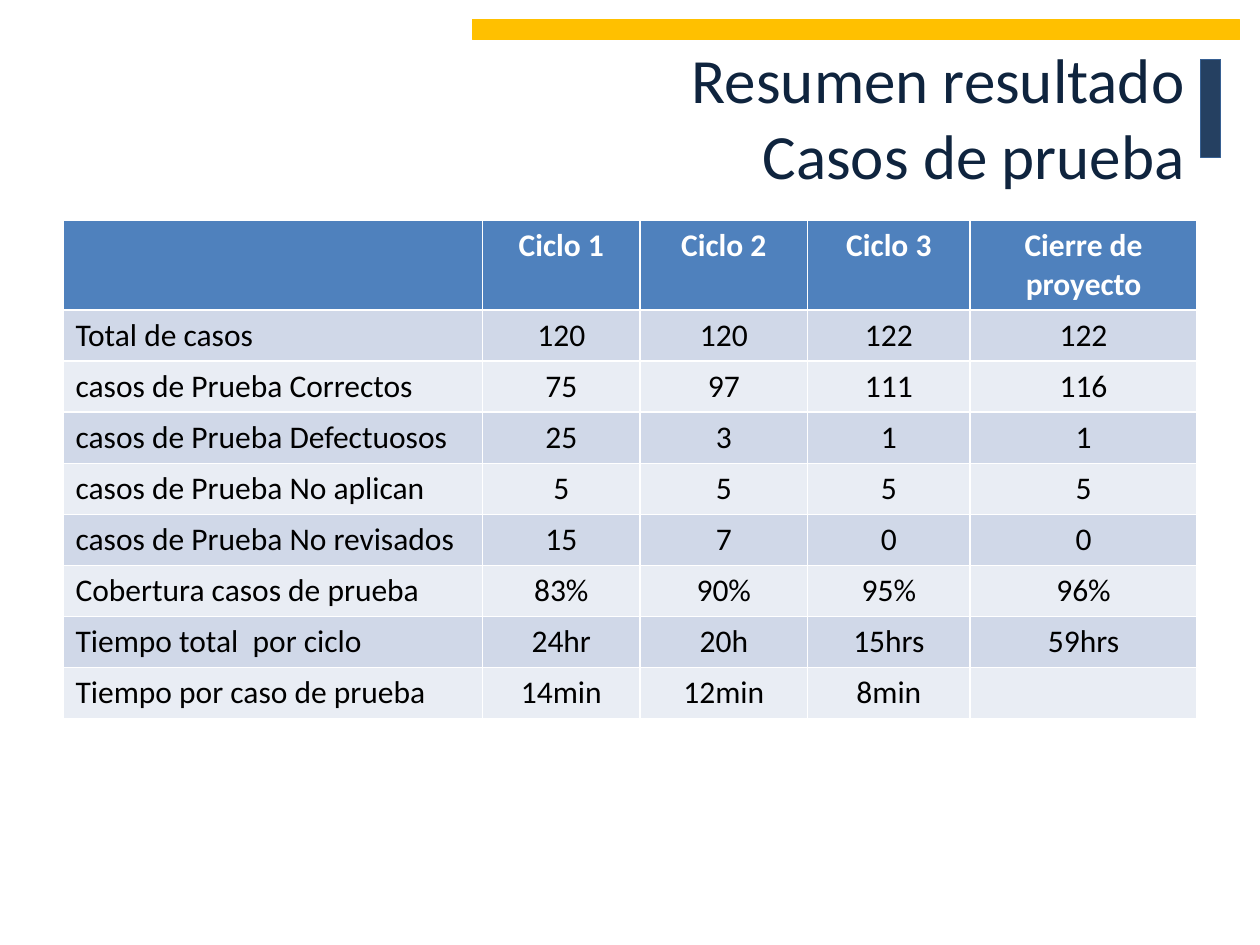
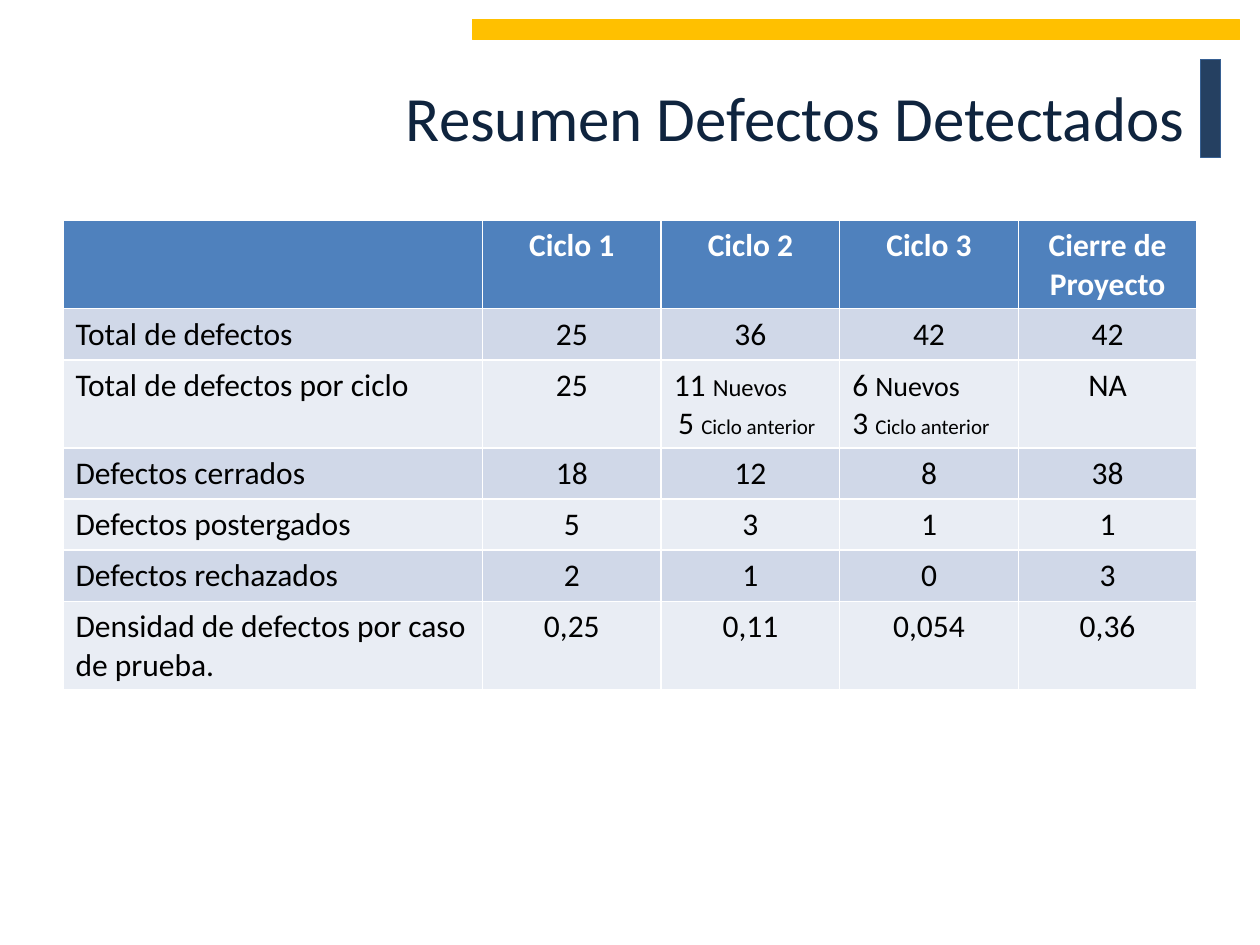
from pptx import Presentation
from pptx.dml.color import RGBColor
from pptx.enum.shapes import MSO_SHAPE
from pptx.enum.text import MSO_ANCHOR, PP_ALIGN
from pptx.util import Inches, Pt

HUES = {"navy": "254061", "edge": "376092", "gold": "FFC000",
        "ink": "0F243E", "head": "4F81BD", "dark": "D0D8E8",
        "pale": "E9EDF4", "white": "FFFFFF", "black": "000000"}
FONT = "Calibri"
LEFT, MID, RIGHT = PP_ALIGN.LEFT, PP_ALIGN.CENTER, PP_ALIGN.RIGHT
ROW = Pt(29.2)

deck = Presentation()
deck.slide_width, deck.slide_height = Inches(10), Inches(7.5)


def place(x, y, wide, high):
    """Turn percentages of the slide's size into lengths."""
    sizes = (deck.slide_width, deck.slide_height) * 2
    return [round(size * part / 100)
            for size, part in zip(sizes, (x, y, wide, high))]


def write(par, text, size, hue, bold=False):
    run = par.add_run()
    run.text = text
    run.font.name, run.font.size, run.font.bold = FONT, Pt(size), bold
    run.font.color.rgb = RGBColor.from_string(HUES[hue])


# Bars on every slide: place in percent, fill, line
bars = [((95.3, 6.27, 1.6, 10.4), "navy", "edge"),
        ((37.5, 2.1, 60.9, 2.1), "gold", "gold")]

# A cell is a string, or a list of (alignment, runs) paragraphs
cases = [
    ["", "Ciclo 1", "Ciclo 2", "Ciclo 3", "Cierre de proyecto"],
    ["Total de casos", "120", "120", "122", "122"],
    ["casos de Prueba Correctos", "75", "97", "111", "116"],
    ["casos de Prueba Defectuosos", "25", "3", "1", "1"],
    ["casos de Prueba No aplican", "5", "5", "5", "5"],
    ["casos de Prueba No revisados", "15", "7", "0", "0"],
    ["Cobertura casos de prueba", "83%", "90%", "95%", "96%"],
    ["Tiempo total  por ciclo", "24hr", "20h", "15hrs", "59hrs"],
    ["Tiempo por caso de prueba", "14min", "12min", "8min", ""],
]
past = [("Ciclo anterior", 12), (" ", 18)]
second = [(LEFT, [("11 ", 18), ("Nuevos", 14)]), (MID, [("5 ", 18)] + past)]
third = [(LEFT, [("6 ", 18), ("Nuevos", 16)]), (LEFT, [("3 ", 18)] + past)]
faults = [
    ["", "Ciclo 1", "Ciclo 2", "Ciclo 3", "Cierre de Proyecto"],
    ["Total de defectos", "25", "36", "42", "42"],
    ["Total de defectos por ciclo", "25", second, third, "NA"],
    ["Defectos cerrados", "18", "12", "8", "38"],
    ["Defectos postergados", "5", "3", "1", "1"],
    ["Defectos rechazados", "2", "1", "0", "3"],
    ["Densidad de defectos por caso de prueba.",
     "0,25", "0,11", "0,054", "0,36"],
]
pages = [
    (["Resumen resultado", "Casos de prueba"], cases,
     [33.3, 12.5, 13.3, 12.9, 18]),
    (["Resumen Defectos Detectados"], faults, [33.3] + [56.7 / 4] * 4),
]

for title, rows, widths in pages:
    slide = deck.slides.add_slide(deck.slide_layouts[6])

    for spot, fill, line in bars:
        bar = slide.shapes.add_shape(MSO_SHAPE.RECTANGLE, *place(*spot))
        bar.shadow.inherit = False
        bar.fill.solid()
        bar.fill.fore_color.rgb = RGBColor.from_string(HUES[fill])
        bar.line.color.rgb = RGBColor.from_string(HUES[line])
        bar.line.width = Pt(0.75)

    # The default table style draws the white cell borders
    x, y, wide, _ = place(5, 23.33, 90, 0)
    grid = slide.shapes.add_table(len(rows), len(widths), x, y, wide,
                                  ROW * len(rows)).table
    for col, width in zip(grid.columns, widths):
        col.width = round(deck.slide_width * width / 100)
    for r, row in enumerate(rows):
        grid.rows[r].height = ROW
        band = "head" if r == 0 else "dark" if r % 2 else "pale"
        for c, value in enumerate(row):
            cell = grid.cell(r, c)
            cell.fill.solid()
            cell.fill.fore_color.rgb = RGBColor.from_string(HUES[band])
            if not value:
                continue
            if isinstance(value, str):
                value = [(MID if c else LEFT, [(value, 18)])]
            frame = cell.text_frame
            for n, (align, runs) in enumerate(value):
                par = frame.add_paragraph() if n else frame.paragraphs[0]
                par.alignment = align
                for text, size in runs:
                    write(par, text, size, "black" if r else "white", r == 0)

    frame = slide.shapes.add_textbox(*place(5, 4, 90, 16.67)).text_frame
    frame.word_wrap = True
    frame.vertical_anchor = MSO_ANCHOR.MIDDLE
    par = frame.paragraphs[0]
    par.alignment = RIGHT
    for n, text in enumerate(title):
        if n:
            par.add_line_break()
        write(par, text, 36, "ink")

deck.save("out.pptx")
